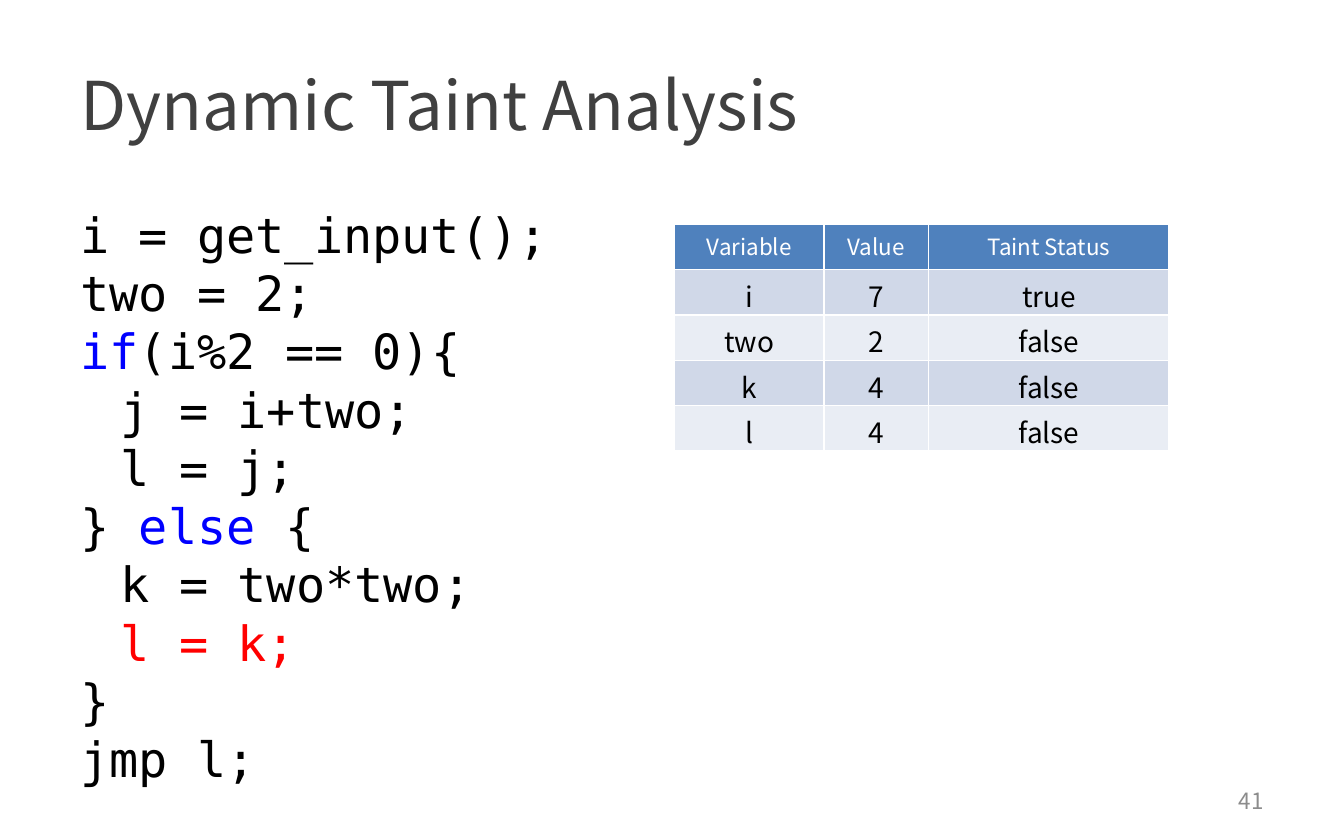
from dataclasses import dataclass

from lxml import etree
from pptx import Presentation
from pptx.dml.color import RGBColor
from pptx.enum.text import MSO_ANCHOR, PP_ALIGN
from pptx.oxml.ns import qn
from pptx.util import Inches, Pt

LEFT, MID, RIGHT = PP_ALIGN.LEFT, PP_ALIGN.CENTER, PP_ALIGN.RIGHT
TOP, CENTRE = MSO_ANCHOR.TOP, MSO_ANCHOR.MIDDLE
WIDE, HIGH = 10, 6.25


@dataclass(frozen=True)
class Theme:
    """Hold the colours, fonts and type sizes of the slide."""
    sans: str = "Noto Sans CJK SC"
    mono: str = "DejaVu Sans Mono"
    title: int = 36
    code: int = 26
    lead: float = 31.2
    cell: int = 15
    small: int = 12
    ink: str = "000000"
    dark: str = "404040"
    grey: str = "8C8C8C"
    white: str = "FFFFFF"
    blue: str = "0000FF"
    red: str = "FF0000"
    head: str = "4F81BD"
    bands: tuple = ("D0D8E8", "E9EDF4")


THEME = Theme()

CODE = [
    (0, [("i = get_input();", THEME.ink)]),
    (0, [("two = 2;", THEME.ink)]),
    (0, [("if", THEME.blue), ("(i%2 == 0){", THEME.ink)]),
    (1, [("j = i+two;", THEME.ink)]),
    (1, [("l = j;", THEME.ink)]),
    (0, [("} ", THEME.ink), ("else", THEME.blue), (" {", THEME.ink)]),
    (1, [("k = two*two;", THEME.ink)]),
    (1, [("l = k;", THEME.red)]),
    (0, [("}", THEME.ink)]),
    (0, [("jmp l;", THEME.ink)]),
]

STATE = [
    ("Variable", "Value", "Taint Status"),
    ("i", "7", "true"),
    ("two", "2", "false"),
    ("k", "4", "false"),
    ("l", "4", "false"),
]


def place(x, y, w, h):
    """Turn shares of the slide into lengths."""
    return Inches(x * WIDE), Inches(y * HIGH), Inches(w * WIDE), Inches(h * HIGH)


def style(font, name, size, tint=None):
    """Set the face, size and colour of a font."""
    font.name, font.size, font.bold = name, Pt(size), False
    if tint:
        font.color.rgb = RGBColor.from_string(tint)


def add_box(slide, area, anchor):
    """Add a wrapping text box and return its frame."""
    frame = slide.shapes.add_textbox(*place(*area)).text_frame
    frame.word_wrap = True
    frame.vertical_anchor = anchor
    return frame


def add_label(slide, area, text, size, tint, align=LEFT):
    """Add one line of sans text."""
    para = add_box(slide, area, CENTRE).paragraphs[0]
    para.text, para.alignment = text, align
    style(para.font, THEME.sans, size, tint)


def add_code(slide, area, lines):
    """Add a listing with coloured runs and indented levels."""
    frame = add_box(slide, area, TOP)
    for row, (level, parts) in enumerate(lines):
        para = frame.add_paragraph() if row else frame.paragraphs[0]
        para.line_spacing = Pt(THEME.lead)
        if level:
            para.level = level
            para._p.get_or_add_pPr().set("marL", str(Inches(0.3 * level)))
        style(para.font, THEME.mono, THEME.code)
        for text, tint in parts:
            run = para.add_run()
            run.text = text
            run.font.color.rgb = RGBColor.from_string(tint)


def add_rules(cell):
    """Draw thin white borders around a cell."""
    props = cell._tc.get_or_add_tcPr()
    for spot, side in enumerate(("a:lnL", "a:lnR", "a:lnT", "a:lnB")):
        line = etree.Element(qn(side), w=str(Pt(1)))
        fill = etree.SubElement(line, qn("a:solidFill"))
        etree.SubElement(fill, qn("a:srgbClr"), val=THEME.white)
        props.insert(spot, line)


def add_grid(slide, area, rows, widths):
    """Add a table with a header row and banded body rows."""
    table = slide.shapes.add_table(len(rows), len(widths), *place(*area)).table
    for col, width in zip(table.columns, widths):
        col.width = Inches(width * WIDE)
    for r, row in enumerate(rows):
        fill = THEME.bands[(r - 1) % 2] if r else THEME.head
        size, tint = (THEME.cell, THEME.ink) if r else (THEME.small, THEME.white)
        for c, text in enumerate(row):
            cell = table.cell(r, c)
            cell.margin_top = cell.margin_bottom = Inches(0.04)
            cell.fill.solid()
            cell.fill.fore_color.rgb = RGBColor.from_string(fill)
            add_rules(cell)
            para = cell.text_frame.paragraphs[0]
            para.text, para.alignment = text, MID
            style(para.font, THEME.sans, size, tint)


def main():
    """Build the slide and save it."""
    deck = Presentation()
    deck.slide_width, deck.slide_height = Inches(WIDE), Inches(HIGH)
    slide = deck.slides.add_slide(deck.slide_layouts[6])
    add_code(slide, (0.05, 0.236, 0.442, 0.66), CODE)
    add_grid(slide, (0.502, 0.267, 0.368, 0.27), STATE, (0.111, 0.078, 0.179))
    add_label(slide, (0.717, 0.926, 0.233, 0.053), "41", THEME.small, THEME.grey, RIGHT)
    add_label(slide, (0.05, 0.04, 0.9, 0.166), "Dynamic Taint Analysis", THEME.title, THEME.dark)
    deck.save("out.pptx")


if __name__ == "__main__":
    main()
